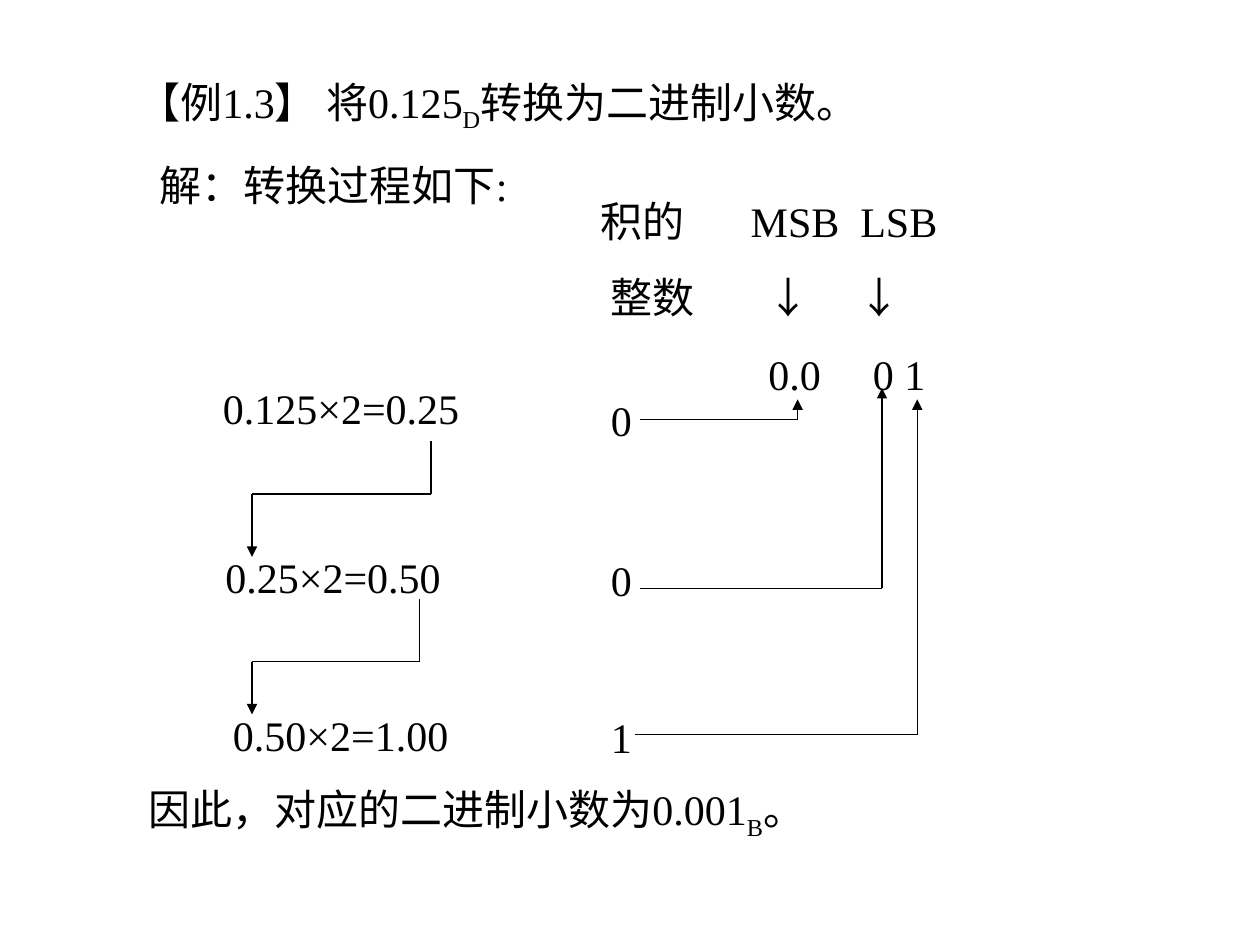
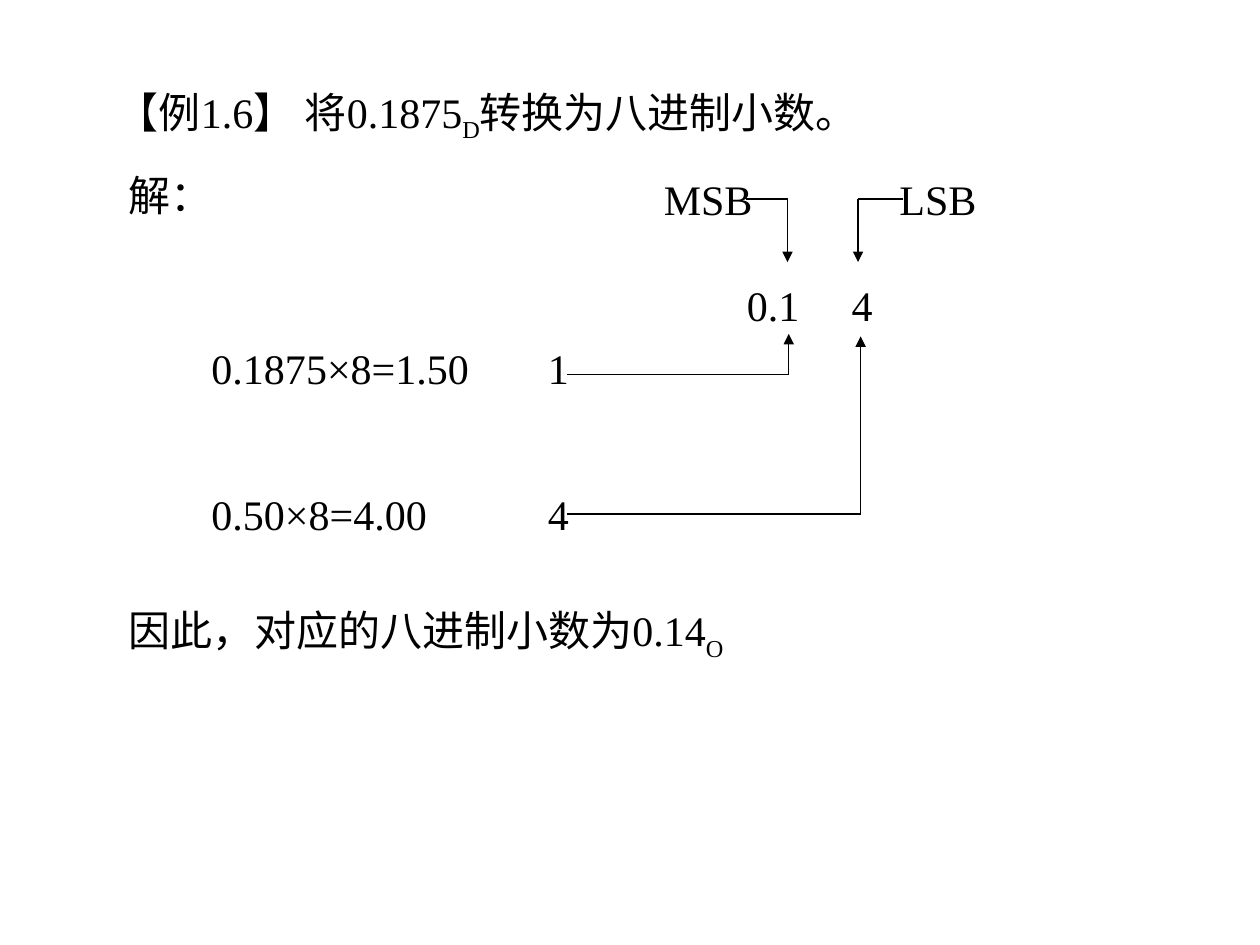
from lxml import etree
from pptx import Presentation
from pptx.dml.color import RGBColor
from pptx.enum.lang import MSO_LANGUAGE_ID
from pptx.enum.shapes import MSO_CONNECTOR
from pptx.enum.text import MSO_AUTO_SIZE
from pptx.oxml.ns import qn
from pptx.util import Inches, Pt

BLACK = RGBColor(0x00, 0x00, 0x00)
WHITE = RGBColor(0xFF, 0xFF, 0xFF)
FONT = "Times New Roman"
TEXT_SIZE = Pt(24)

# A line is (runs, tab stops). Every second run is a subscript;
# a tab stop is (inches from the text edge, alignment).
# A label is (box, lines); a box is left, top, width, height in inches.
# A trace lists the corners of a path that ends in an arrowhead.
SLIDES = [
    {
        "heading": ((1, 0.42, 8.5, 1.5), [
            (("【例1.3】 将0.125", "D", "转换为二进制小数。"), []),
            (("\t解：转换过程如下:",), [(0.17, "l")]),
        ]),
        "labels": [
            ((1.67, 2.99, 2.92, 0.5), [(("0.125×2=0.25",), [])]),
            ((1.69, 4.33, 2.67, 0.5), [(("0.25×2=0.50",), [])]),
            ((1.75, 5.58, 2.25, 0.5), [(("0.50×2=1.00",), [])]),
            ((4.67, 1.5, 4.67, 2.33), [
                (("积的\tMSB\tLSB",), [(1.19, "l"), (2.06, "l")]),
                (("\t整数\t↓\t↓",), [(0.08, "l"), (1.49, "ctr"), (2.21, "ctr")]),
                (("\t0.0\t0 1",), [(1.33, "l"), (2.16, "l")]),
            ]),
            ((4.75, 3.08, 0.75, 0.5), [(("0",), [])]),
            ((4.75, 4.35, 0.67, 0.5), [(("0",), [])]),
            ((4.75, 5.6, 0.58, 0.5), [(("1",), [])]),
            ((1.08, 6.17, 5.67, 0.56),
             [(("因此，对应的二进制小数为0.001", "B", "。"), [])]),
        ],
        "traces": [
            [(3.42, 3.5), (3.42, 3.92), (2, 3.92), (2, 4.42)],
            [(3.33, 4.75), (3.33, 5.25), (2, 5.25), (2, 5.67)],
            [(5.08, 3.33), (6.33, 3.33), (6.33, 3.17)],
            [(5.08, 4.67), (7, 4.67), (7, 3.08)],
            [(5.04, 5.83), (7.28, 5.83), (7.28, 3.17)],
        ],
    },
    {
        "heading": ((0.75, 0.5, 8.5, 1.58), [
            (("\t【例1.6】 将0.1875", "D", "转换为八进制小数。"), [(0.08, "l")]),
            (("\t解：",), [(0.17, "l")]),
        ]),
        "labels": [
            ((1.58, 2.67, 3.92, 0.5), [(("0.1875×8=1.50",), [])]),
            ((1.58, 3.83, 2.25, 0.5), [(("0.50×8=4.00",), [])]),
            ((4.25, 2.67, 0.83, 0.5), [(("1",), [])]),
            ((4.25, 3.83, 0.33, 0.5), [(("4",), [])]),
            ((5.17, 1.33, 2.83, 0.5), [(("MSB\tLSB",), [(1.87, "l")])]),
            ((5.83, 2.17, 1.58, 0.5), [(("0.1\t4",), [(0.83, "l")])]),
            ((0.92, 4.75, 6.25, 0.56),
             [(("因此，对应的八进制小数为0.14", "O"), [])]),
        ],
        "traces": [
            [(5.92, 1.58), (6.25, 1.58), (6.25, 2.08)],
            [(7.17, 1.58), (6.81, 1.58), (6.81, 2.08)],
            [(4.5, 2.97), (6.26, 2.97), (6.26, 2.65)],
            [(4.5, 4.08), (6.83, 4.08), (6.83, 2.67)],
        ],
    },
]


def add_tab_stops(paragraph, stops):
    if stops:
        tab_list = etree.SubElement(paragraph._p.get_or_add_pPr(), qn("a:tabLst"))
        for position, alignment in stops:
            etree.SubElement(tab_list, qn("a:tab"),
                             pos=str(Inches(position)), algn=alignment)


def add_text(slide, box, lines, space_before, line_spacing=None, grow=True):
    shape = slide.shapes.add_textbox(*map(Inches, box))
    frame = shape.text_frame
    frame.word_wrap = True
    frame.auto_size = MSO_AUTO_SIZE.SHAPE_TO_FIT_TEXT if grow else MSO_AUTO_SIZE.NONE
    for index, (runs, stops) in enumerate(lines):
        paragraph = frame.add_paragraph() if index else frame.paragraphs[0]
        add_tab_stops(paragraph, stops)
        if index:
            paragraph.space_before = space_before
        if line_spacing:
            paragraph.line_spacing = line_spacing
        for position, text in enumerate(runs):
            run = paragraph.add_run()
            run.text = text
            run.font.name = FONT
            run.font.size = TEXT_SIZE
            run.font.color.rgb = BLACK
            run.font.language_id = MSO_LANGUAGE_ID.SIMPLIFIED_CHINESE
            if position % 2:
                run.font._element.set("baseline", "-25000")


def add_trace(slide, corners):
    """Join the corners with straight lines and put an arrowhead on the last."""
    for start, end in zip(corners, corners[1:]):
        connector = slide.shapes.add_connector(
            MSO_CONNECTOR.STRAIGHT, *map(Inches, start + end))
        connector.line.color.rgb = BLACK
        connector.line.width = Pt(0.75)
        etree.SubElement(connector._element.spPr, qn("a:effectLst"))
    etree.SubElement(connector.line._get_or_add_ln(), qn("a:tailEnd"), type="triangle")


def main():
    presentation = Presentation()
    presentation.slide_width = Inches(10)
    presentation.slide_height = Inches(7.5)
    for content in SLIDES:
        slide = presentation.slides.add_slide(presentation.slide_layouts[6])
        slide.background.fill.solid()
        slide.background.fill.fore_color.rgb = WHITE
        add_text(slide, *content["heading"], Pt(6), line_spacing=1.3, grow=False)
        for box, lines in content["labels"]:
            add_text(slide, box, lines, Pt(15))
        for corners in content["traces"]:
            add_trace(slide, corners)
    presentation.save("out.pptx")


if __name__ == "__main__":
    main()
